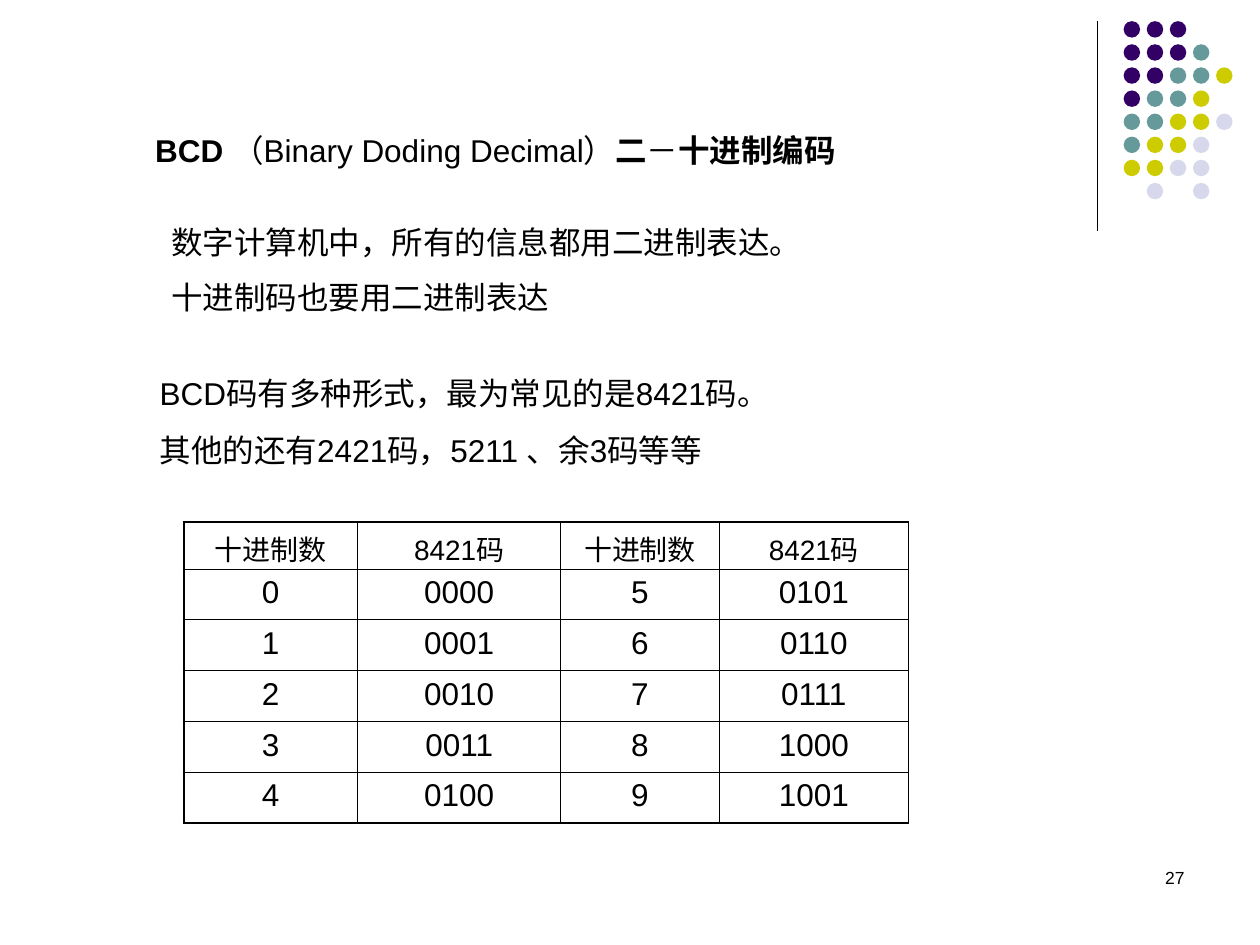
from lxml import etree
from pptx import Presentation
from pptx.dml.color import RGBColor
from pptx.enum.shapes import MSO_CONNECTOR, MSO_SHAPE
from pptx.enum.text import MSO_ANCHOR, MSO_AUTO_SIZE, PP_ALIGN
from pptx.oxml.ns import qn
from pptx.util import Pt

LEFT, CENTER, RIGHT = PP_ALIGN.LEFT, PP_ALIGN.CENTER, PP_ALIGN.RIGHT
TOP = MSO_ANCHOR.TOP
FIT_SHAPE = MSO_AUTO_SIZE.SHAPE_TO_FIT_TEXT
OVAL = MSO_SHAPE.OVAL
STRAIGHT = MSO_CONNECTOR.STRAIGHT

BLACK = RGBColor(0x00, 0x00, 0x00)
PURPLE = RGBColor(0x33, 0x00, 0x66)
TEAL = RGBColor(0x66, 0x99, 0x99)
OLIVE = RGBColor(0xCC, 0xCC, 0x00)
LAVENDER = RGBColor(0xD8, 0xD8, 0xEC)
FONT = "Arial"

HEADING = [[("BCD ", True), ("（Binary Doding Decimal）", False), ("二", True),
            ("－", False), ("十进制编码", True)]]
BINARY_NOTE = ["数字计算机中，所有的信息都用二进制表达。", "十进制码也要用二进制表达"]
VARIANTS_NOTE = ["BCD码有多种形式，最为常见的是8421码。", "其他的还有2421码，5211 、余3码等等"]
NOTES = [
    (BINARY_NOTE, (90.7, 114.5, 374.4, 69.8), 1.45),
    (VARIANTS_NOTE, (84.2, 199.4, 375.1, 72), 1.5),
]
PAGE_NUMBER = "27"

CODE_ROWS = [
    ["十进制数", "8421码", "十进制数", "8421码"],
    ["0", "0000", "5", "0101"],
    ["1", "0001", "6", "0110"],
    ["2", "0010", "7", "0111"],
    ["3", "0011", "8", "1000"],
    ["4", "0100", "9", "1001"],
]
COLUMN_WIDTHS = [99.4, 116, 90.7, 108]
HEADER_HEIGHT, ROW_HEIGHT = 27, 29
TABLE_LEFT, TABLE_TOP = 105, 298.2
OUTER_LINE, INNER_LINE = 1.08, 0.45

DOT_COLORS = {"P": PURPLE, "T": TEAL, "O": OLIVE, "L": LAVENDER}
DOT_ROWS = ["PPP", "PPPT", "PPTTO", "PTTO", "TTOOL", "TOOL", "OOLL", " L L"]
DOT_LEFT, DOT_TOP, DOT_SIZE, DOT_PITCH = 642.1, 12.1, 9.4, 13.2


def points(*lengths):
    return [Pt(length) for length in lengths]


def write(frame, paragraphs, size=18, align=LEFT, spacing=1.0):
    for index, content in enumerate(paragraphs):
        paragraph = frame.paragraphs[0] if index == 0 else frame.add_paragraph()
        paragraph.alignment = align
        paragraph.line_spacing = spacing
        paragraph.space_before = Pt(0)
        runs = [(content, False)] if isinstance(content, str) else content
        for text, bold in runs:
            run = paragraph.add_run()
            run.text = text
            run.font.name = FONT
            run.font.size = Pt(size)
            run.font.bold = bold
            run.font.color.rgb = BLACK


def draw_borders(cell, widths):
    properties = cell._tc.get_or_add_tcPr()
    for position, (side, width) in enumerate(widths.items()):
        border = etree.Element(qn(f"a:ln{side}"), w=str(int(Pt(width))))
        fill = etree.SubElement(border, qn("a:solidFill"))
        etree.SubElement(fill, qn("a:srgbClr"), val=str(BLACK))
        properties.insert(position, border)


def add_dots(slide):
    divider = slide.shapes.add_connector(STRAIGHT, *points(627.1, 12.2, 627.1, 131.8))
    divider.line.color.rgb = BLACK
    divider.line.width = Pt(0.75)
    etree.SubElement(divider._element.spPr, qn("a:effectLst"))
    for row, pattern in enumerate(DOT_ROWS):
        for column, key in enumerate(pattern):
            if key == " ":
                continue
            left, top = DOT_LEFT + column * DOT_PITCH, DOT_TOP + row * DOT_PITCH
            dot = slide.shapes.add_shape(OVAL, *points(left, top, DOT_SIZE, DOT_SIZE))
            dot.shadow.inherit = False
            dot.fill.solid()
            dot.fill.fore_color.rgb = DOT_COLORS[key]
            dot.line.fill.background()


def add_code_table(slide):
    row_heights = [HEADER_HEIGHT] + [ROW_HEIGHT] * (len(CODE_ROWS) - 1)
    last_row, last_column = len(CODE_ROWS) - 1, len(COLUMN_WIDTHS) - 1
    place = points(TABLE_LEFT, TABLE_TOP, sum(COLUMN_WIDTHS), sum(row_heights))
    table = slide.shapes.add_table(last_row + 1, last_column + 1, *place).table
    table.first_row = table.horz_banding = False
    for column, width in zip(table.columns, COLUMN_WIDTHS):
        column.width = Pt(width)
    for row, (values, height) in enumerate(zip(CODE_ROWS, row_heights)):
        table.rows[row].height = Pt(height)
        for column, value in enumerate(values):
            cell = table.cell(row, column)
            cell.fill.background()
            write(cell.text_frame, [value], size=16 if row == 0 else 18, align=CENTER)
            on_edge = {"L": column == 0, "R": column == last_column,
                       "T": row == 0, "B": row == last_row}
            draw_borders(cell, {side: OUTER_LINE if edge else INNER_LINE
                                for side, edge in on_edge.items()})


def main():
    deck = Presentation()
    deck.slide_width, deck.slide_height = points(720, 540)
    slide = deck.slides.add_slide(deck.slide_layouts[5])
    add_dots(slide)

    heading = slide.shapes.title
    heading.left, heading.top, heading.width, heading.height = points(81.4, 71.3, 416.2, 28.8)
    heading.text_frame.vertical_anchor = TOP
    heading.text_frame.word_wrap = False
    heading.text_frame.auto_size = FIT_SHAPE
    write(heading.text_frame, HEADING)

    for lines, place, spacing in NOTES:
        note = slide.shapes.add_textbox(*points(*place)).text_frame
        note.word_wrap = False
        note.auto_size = FIT_SHAPE
        write(note, lines, spacing=spacing)

    add_code_table(slide)

    page_number = slide.shapes.add_textbox(*points(516.2, 491.8, 167.8, 36)).text_frame
    page_number.word_wrap = True
    write(page_number, [PAGE_NUMBER], size=10, align=RIGHT)

    deck.save("out.pptx")


if __name__ == "__main__":
    main()
